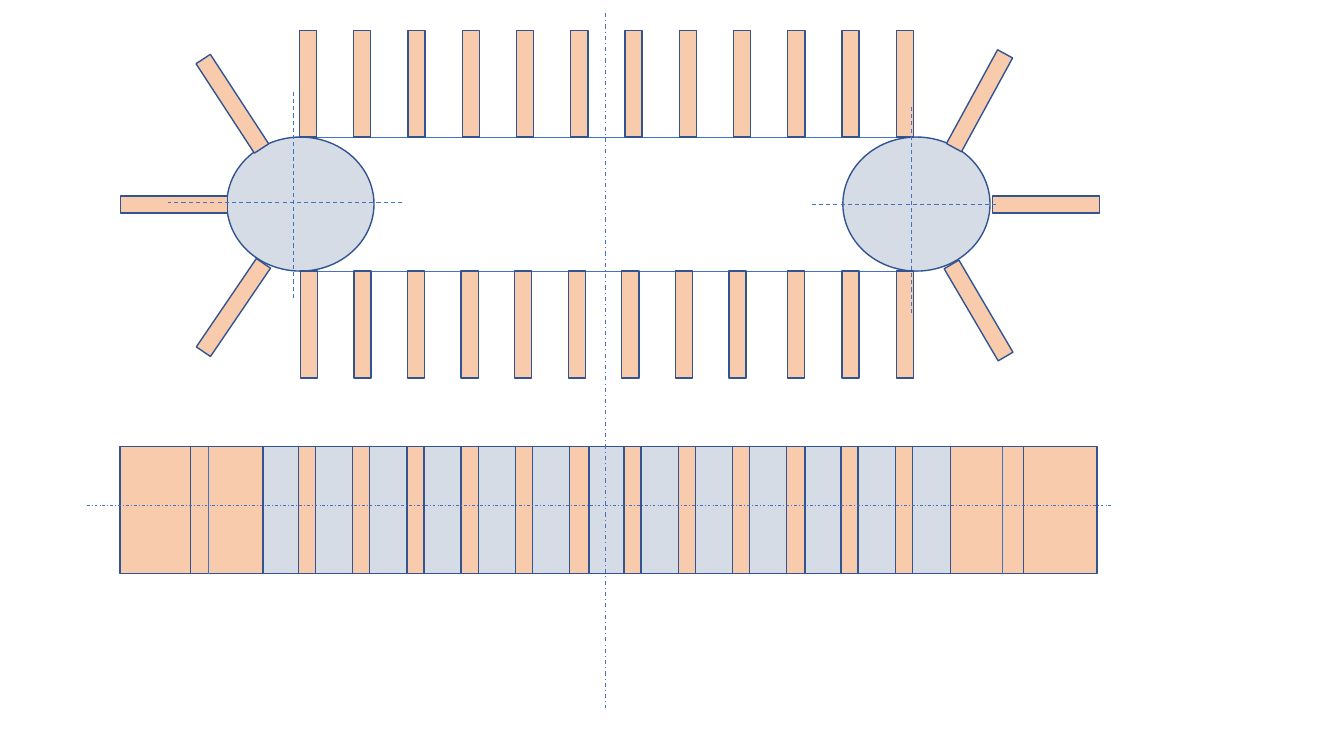
"""Build a slide with the side view and plan view of a bladed belt on two rollers."""
import dataclasses

import pptx
import pptx.dml.color
import pptx.enum.dml
import pptx.enum.shapes
import pptx.oxml.ns
import pptx.util
from pptx.util import Inches

SHAPE = pptx.enum.shapes.MSO_SHAPE
DASH = pptx.enum.dml.MSO_LINE


@dataclasses.dataclass(frozen=True)
class Theme:
    roller: str = "D6DCE5"
    blade: str = "F8CBAD"
    outline: str = "325491"
    axis: str = "4472C4"
    outline_width: float = 1
    axis_width: float = 0.75
    thin_width: float = 0.5


class Drawing:
    def __init__(self, page, theme):
        self.page = page
        self.theme = theme

    def style_line(self, line, color, width, dash=None):
        line.fill.solid()
        line.fill.fore_color.rgb = pptx.dml.color.RGBColor.from_string(color)
        for name, value in {"width": pptx.util.Pt(width), "dash_style": dash}.items():
            setattr(line, name, value)

    def shape(self, kind, left, top, width, height, fill, rotation=0):
        box = self.page.shapes.add_shape(
            kind, Inches(left), Inches(top), Inches(width), Inches(height))
        box.shadow.inherit = False
        box.rotation = rotation
        box.fill.solid()
        box.fill.fore_color.rgb = pptx.dml.color.RGBColor.from_string(fill)
        self.style_line(box.line, self.theme.outline, self.theme.outline_width)

    def roller(self, left):
        self.shape(SHAPE.OVAL, left, BELT_TOP, 1.46, BELT_BOTTOM - BELT_TOP, self.theme.roller)

    def blade(self, left, top, width=0.17, height=1.06, rotation=0):
        self.shape(SHAPE.RECTANGLE, left, top, width, height, self.theme.blade, rotation)

    def line(self, start, end, width, dash=None):
        connector = self.page.shapes.add_connector(
            pptx.enum.shapes.MSO_CONNECTOR.STRAIGHT, *map(Inches, start + end))
        properties = connector._element.spPr
        self.style_line(connector.line, self.theme.axis, width, dash)
        properties.append(properties.makeelement(pptx.oxml.ns.qn("a:effectLst"), {}))


def spread(first, last, count):
    return [first + (last - first) * index / (count - 1) for index in range(count)]


BELT_TOP, BELT_BOTTOM = 1.36, 2.69
PLAN_TOP, PLAN_HEIGHT = 4.43, 1.26
PLAN_BOTTOM = PLAN_TOP + PLAN_HEIGHT

deck = pptx.Presentation()
deck.slide_width, deck.slide_height = Inches(13.33), Inches(7.5)
theme = Theme()
drawing = Drawing(deck.slides.add_slide(deck.slide_layouts[6]), theme)

for left in (2.25, 8.36):
    drawing.roller(left)
for height in (BELT_TOP, BELT_BOTTOM):
    drawing.line((2.98, height), (9.1, height), theme.thin_width)

for left in spread(2.97, 8.89, 12):
    drawing.blade(left, 0.3)
for left in spread(2.98, 7.23, 9) + spread(7.81, 8.89, 3):
    drawing.blade(left, BELT_BOTTOM)
turning_blades = [
    (9.63, 0.47, 28.6), (10.29, 1.5, 90), (9.62, 2.55, 149.6),
    (1.64, 1.5, 270), (2.22, 0.5, 326.9), (2.23, 2.52, 214.2),
]
for left, top, rotation in turning_blades:
    drawing.blade(left, top, rotation=rotation)

roller_axes = [
    ((9.04, 1.06), (9.04, 3.11)), ((2.91, 0.91), (2.91, 2.96)),
    ((8.05, 2.03), (9.89, 2.03)), ((3.99, 2.01), (1.67, 2.01)),
]
for start, end in roller_axes:
    drawing.line(start, end, theme.axis_width, DASH.DASH)

drawing.shape(SHAPE.RECTANGLE, 2.24, PLAN_TOP, 7.58, PLAN_HEIGHT, theme.roller)
wide_blades = {5: 0.19, 9: 0.18}
for index, left in enumerate(spread(2.96, 8.88, 12)):
    drawing.blade(left, PLAN_TOP, wide_blades.get(index, 0.17), PLAN_HEIGHT)
for left in (1.19, 9.82):
    drawing.blade(left, PLAN_TOP, 1.06, PLAN_HEIGHT)
for left, edge in ((1.89, 2.07), (9.43, 9.94)):
    drawing.blade(left, PLAN_TOP, 0.72, PLAN_HEIGHT)
    drawing.line((edge, PLAN_TOP), (edge, PLAN_BOTTOM), theme.thin_width)

drawing.line((0.86, 5.01), (11.02, 5.01), theme.thin_width, DASH.DASH_DOT)
drawing.line((6.01, 0.13), (6.01, 7.02), theme.axis_width, DASH.DASH_DOT)

deck.save("out.pptx")
